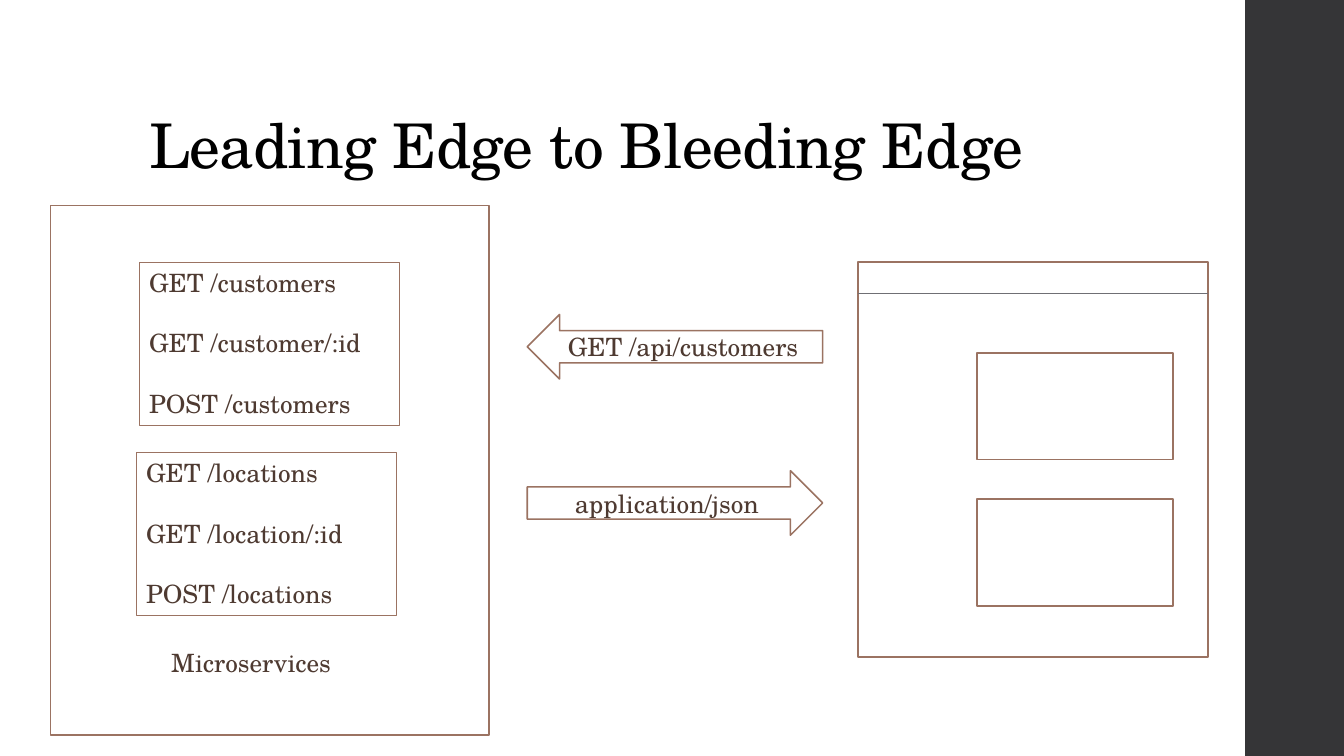
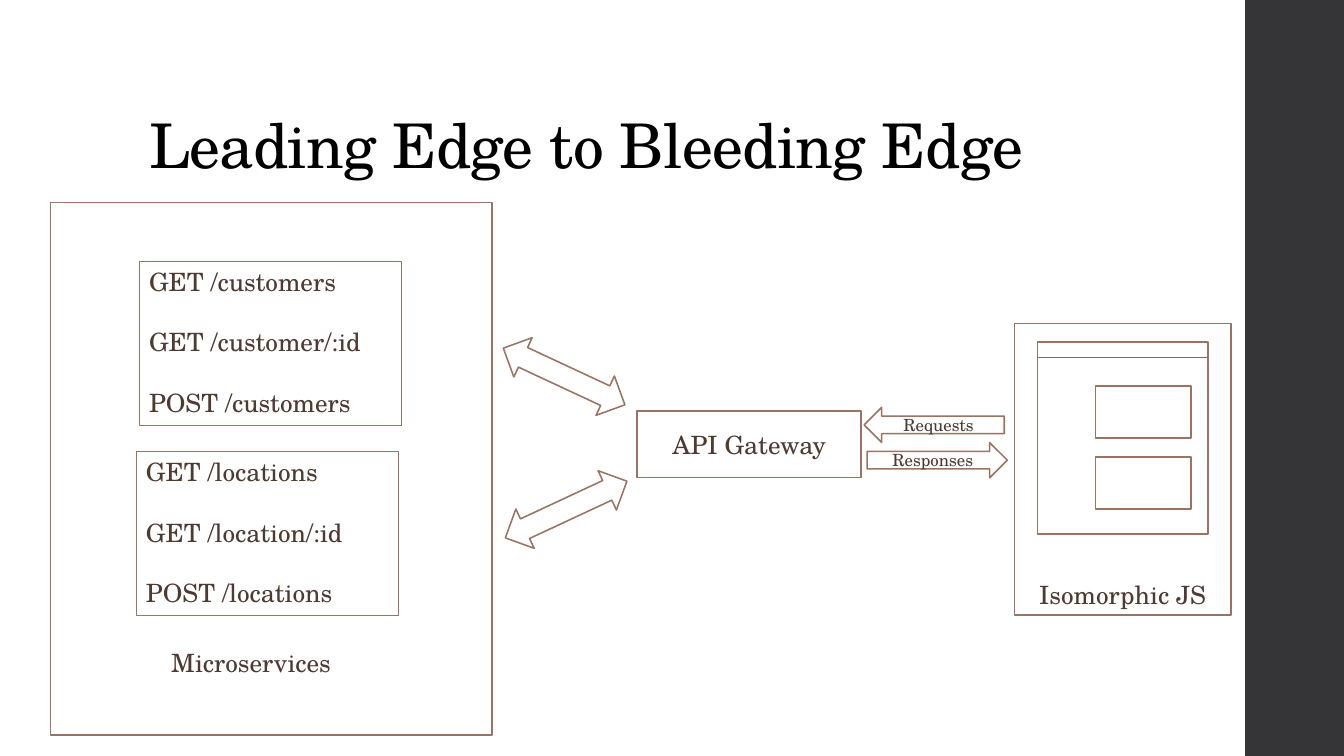
from lxml.etree import SubElement
from pptx import Presentation
from pptx.dml.color import RGBColor
from pptx.enum.shapes import MSO_CONNECTOR, MSO_SHAPE
from pptx.enum.text import MSO_ANCHOR, PP_ALIGN
from pptx.oxml.ns import qn
from pptx.util import Inches, Pt

FONT = "TeX Gyre Schola"
BLACK = RGBColor(0x00, 0x00, 0x00)
WHITE = RGBColor(0xFF, 0xFF, 0xFF)
BAND = RGBColor(0x35, 0x35, 0x37)
OUTLINE = RGBColor(0x9B, 0x73, 0x62)
RULE = RGBColor(0x6F, 0x6F, 0x74)
TEXT = RGBColor(0x4E, 0x3A, 0x31)

TITLE = "Leading Edge to Bleeding Edge"
CUSTOMERS = ["GET /customers", "GET /customer/:id", "POST /customers"]
LOCATIONS = ["GET /locations", "GET /location/:id", "POST /locations"]


class Diagram:
    """Holds the deck, its style and the slide being drawn."""

    def __init__(self):
        self.deck = Presentation()
        self.deck.slide_width = Inches(13.33)
        self.deck.slide_height = Inches(7.5)
        self.slide = None

    def new_slide(self, title):
        self.slide = self.deck.slides.add_slide(self.deck.slide_layouts[6])
        self.shape(12.35, 0, 1, 7.5, fill=BAND, line=None)
        box = self.text(1.38, 0.4, 10.6, 1.45, [title], size=44, color=BLACK,
                        anchor=MSO_ANCHOR.BOTTOM)
        paragraph = box.text_frame.paragraphs[0]
        paragraph.line_spacing = 0.9
        paragraph.runs[0].font._element.set("spc", "-50")

    def set_text(self, box, lines, size=18, color=TEXT, align=PP_ALIGN.LEFT,
                 anchor=MSO_ANCHOR.TOP, gap=0):
        frame = box.text_frame
        frame.word_wrap = True
        frame.vertical_anchor = anchor
        frame.text = "\n".join(lines)
        for index, paragraph in enumerate(frame.paragraphs):
            paragraph.alignment = align
            if index:
                paragraph.space_before = Pt(gap)
            for span in paragraph.runs:
                span.font.name = FONT
                span.font.size = Pt(size)
                span.font.color.rgb = color

    def text(self, left, top, width, height, lines, **style):
        box = self.slide.shapes.add_textbox(
            Inches(left), Inches(top), Inches(width), Inches(height))
        self.set_text(box, lines, **style)
        return box

    def shape(self, left, top, width, height, kind=MSO_SHAPE.RECTANGLE,
              fill=WHITE, line=OUTLINE, weight=1.1, rotation=0):
        shape = self.slide.shapes.add_shape(
            kind, Inches(left), Inches(top), Inches(width), Inches(height))
        shape.shadow.inherit = False
        shape.rotation = rotation
        if fill is None:
            shape.fill.background()
        else:
            shape.fill.solid()
            shape.fill.fore_color.rgb = fill
        if line is None:
            shape.line.fill.background()
        else:
            shape.line.color.rgb = line
            shape.line.width = Pt(weight)
        return shape

    def labelled(self, left, top, width, height, label, size=18,
                 anchor=MSO_ANCHOR.MIDDLE, kind=MSO_SHAPE.RECTANGLE):
        shape = self.shape(left, top, width, height, kind)
        self.set_text(shape, [label], size=size, align=PP_ALIGN.CENTER, anchor=anchor)

    def rule(self, left, top, width):
        line = self.slide.shapes.add_connector(
            MSO_CONNECTOR.STRAIGHT, Inches(left), Inches(top),
            Inches(left + width), Inches(top))
        line.line.color.rgb = RULE
        line.line.width = Pt(0.75)
        SubElement(line._element.spPr, qn("a:effectLst"))

    def microservices(self, width, height, list_width, list_height):
        """Draws the panel and its two endpoint lists, all with fixed bottoms."""
        self.shape(0.5, 7.29 - height, width, height)
        for left, bottom, calls in ((1.38, 4.22, CUSTOMERS), (1.35, 6.11, LOCATIONS)):
            box = self.shape(left, bottom - list_height, list_width, list_height,
                             fill=None, weight=0.75)
            self.set_text(box, calls, gap=21.6)
        self.text(1.6, 6.37, 2.65, 0.4, ["Microservices"])

    def browser(self, left, top, width, height):
        """Draws a window whose bar and two panes scale with its size."""
        self.shape(left, top, width, height)
        self.rule(left, top + 0.08 * height, width)
        for offset in (0.23, 0.6):
            self.shape(left + 0.34 * width, top + offset * height,
                       0.56 * width, 0.27 * height)


def draw_direct_calls(diagram):
    diagram.new_slide(TITLE)
    diagram.microservices(4.35, 5.25, 2.58, 1.62)
    diagram.labelled(5.23, 3.12, 2.93, 0.64, "GET /api/customers",
                     kind=MSO_SHAPE.LEFT_ARROW)
    diagram.labelled(5.23, 4.67, 2.93, 0.64, "application/json",
                     kind=MSO_SHAPE.RIGHT_ARROW)
    diagram.browser(8.51, 2.6, 3.47, 3.92)


def draw_gateway(diagram):
    diagram.new_slide(TITLE)
    diagram.labelled(10.06, 3.21, 2.15, 2.89, "Isomorphic JS",
                     anchor=MSO_ANCHOR.BOTTOM)
    diagram.browser(10.29, 3.39, 1.69, 1.91)
    diagram.labelled(6.32, 4.08, 2.22, 0.66, "API Gateway")
    diagram.microservices(4.38, 5.28, 2.6, 1.63)
    diagram.labelled(8.57, 4.04, 1.39, 0.35, "Requests", size=12,
                     kind=MSO_SHAPE.LEFT_ARROW)
    diagram.labelled(8.6, 4.39, 1.39, 0.35, "Responses", size=12,
                     kind=MSO_SHAPE.RIGHT_ARROW)
    for left, top, rotation in ((5.38, 3.07, 295), (5.4, 4.39, 65)):
        diagram.shape(left, top, 0.43, 1.33, MSO_SHAPE.UP_DOWN_ARROW,
                      rotation=rotation)


def main():
    diagram = Diagram()
    draw_direct_calls(diagram)
    draw_gateway(diagram)
    diagram.deck.save("out.pptx")


if __name__ == "__main__":
    main()
